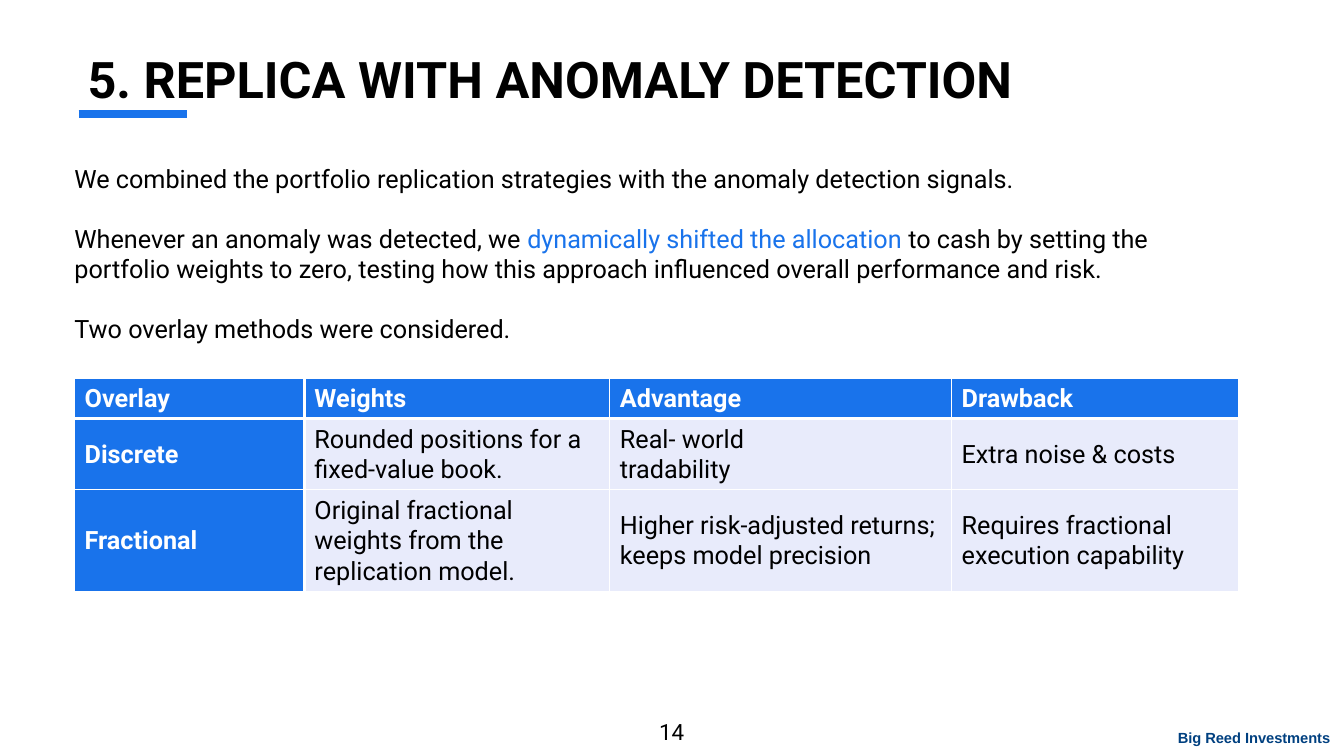
from dataclasses import dataclass

from lxml.etree import SubElement
from pptx import Presentation
from pptx.dml.color import RGBColor
from pptx.enum.shapes import MSO_CONNECTOR
from pptx.enum.text import MSO_ANCHOR, PP_ALIGN
from pptx.oxml.ns import qn
from pptx.util import Inches, Pt


@dataclass(frozen=True)
class Theme:
    accent: str = "1973EB"
    ink: str = "000000"
    paper: str = "FFFFFF"
    tint: str = "E8EBFB"
    footer_ink: str = "004080"
    face: str = "Roboto"
    footer_face: str = "Arial"
    title_size: float = 36
    body_size: float = 18
    page_size: float = 16
    footer_size: float = 10.5
    row_pitch: float = 21.8
    paragraph_gap: float = 21.2


THEME = Theme()
WIDTH, HEIGHT = 13.33, 7.5
GRID = 100

INTRO = [
    [("We combined the portfolio replication strategies with the anomaly detection signals.", THEME.ink)],
    [
        ("Whenever an anomaly was detected, we ", THEME.ink),
        ("dynamically shifted the allocation", THEME.accent),
        (" to cash by setting the portfolio weights to zero, testing how this approach "
         "influenced overall performance and risk.", THEME.ink),
    ],
    [("Two overlay methods were considered.", THEME.ink)],
]
OVERLAYS = [
    ["Overlay", "Weights", "Advantage", "Drawback"],
    ["Discrete", "Rounded positions for a fixed-value book.",
     "Real- world\ntradability", "Extra noise & costs"],
    ["Fractional", "Original fractional weights from the replication model.",
     "Higher risk-adjusted returns; keeps model precision",
     "Requires fractional execution capability"],
]
OVERLAY_COLUMNS = [17.1, 22.73, 25.43, 21.38]
OVERLAY_ROWS = [4.8, 8.67, 12.8]


def across(columns):
    return Inches(WIDTH * columns / GRID)


def down(rows):
    return Inches(HEIGHT * rows / GRID)


def area(left, top, columns, rows):
    return across(left), down(top), across(columns), down(rows)


def style(paragraph, size, color, bold=False, face=THEME.face):
    font = paragraph.font
    font.name, font.size, font.bold = face, Pt(size), bold
    font.color.rgb = RGBColor.from_string(color)


def add_text_frame(slide, place):
    frame = slide.shapes.add_textbox(*area(*place)).text_frame
    frame.word_wrap = True
    return frame


def add_label(slide, place, words, size, color, bold=False, face=THEME.face, align=PP_ALIGN.LEFT):
    label = add_text_frame(slide, place).paragraphs[0]
    label.text = words
    label.alignment = align
    style(label, size, color, bold, face)


def add_intro(slide, place):
    frame = add_text_frame(slide, place)
    for index, phrases in enumerate(INTRO):
        paragraph = frame.add_paragraph() if index else frame.paragraphs[0]
        if index:
            paragraph.space_before = Pt(THEME.paragraph_gap)
        style(paragraph, THEME.body_size, THEME.ink)
        for words, color in phrases:
            phrase = paragraph.add_run()
            phrase.text = words
            if color != THEME.ink:
                phrase.font.color.rgb = RGBColor.from_string(color)


def add_underline(slide, start, end, row):
    underline = slide.shapes.add_connector(
        MSO_CONNECTOR.STRAIGHT, across(start), down(row), across(end), down(row))
    underline.line.color.rgb = RGBColor.from_string(THEME.accent)
    underline.line.width = Pt(6)
    SubElement(underline._element.spPr, qn("a:effectLst"))


def set_borders(cell, widths):
    properties = cell._tc.get_or_add_tcPr()
    for side, width in widths.items():
        border = SubElement(properties, qn(f"a:ln{side}"), w=str(Pt(width)))
        fill = SubElement(border, qn("a:solidFill"))
        SubElement(fill, qn("a:srgbClr"), val=THEME.paper)


def fill_cell(cell, words, is_header, is_name):
    emphasized = is_header or is_name
    set_borders(cell, {"L": 1, "R": 3 if is_name else 1, "T": 1, "B": 3 if is_header else 1})
    cell.fill.solid()
    cell.fill.fore_color.rgb = RGBColor.from_string(THEME.accent if emphasized else THEME.tint)
    cell.vertical_anchor = MSO_ANCHOR.MIDDLE
    cell.text_frame.text = words
    for paragraph in cell.text_frame.paragraphs:
        paragraph.line_spacing = Pt(THEME.row_pitch)
        style(paragraph, THEME.body_size, THEME.paper if emphasized else THEME.ink, emphasized)


def add_overlay_table(slide, left, top):
    place = area(left, top, sum(OVERLAY_COLUMNS), sum(OVERLAY_ROWS))
    table = slide.shapes.add_table(len(OVERLAY_ROWS), len(OVERLAY_COLUMNS), *place).table
    for column, share in zip(table.columns, OVERLAY_COLUMNS):
        column.width = across(share)
    for row, share in zip(table.rows, OVERLAY_ROWS):
        row.height = down(share)
    for r, entries in enumerate(OVERLAYS):
        for c, words in enumerate(entries):
            fill_cell(table.cell(r, c), words, r == 0, c == 0)


def main():
    deck = Presentation()
    deck.slide_width, deck.slide_height = Inches(WIDTH), Inches(HEIGHT)
    slide = deck.slides.add_slide(deck.slide_layouts[6])
    add_underline(slide, 5.85, 13.88, 15.07)
    add_intro(slide, (4.8, 20.93, 87.47, 25.6))
    add_overlay_table(slide, 5.55, 50)
    add_label(slide, (5.78, 5.73, 89.35, 16), "5. REPLICA WITH ANOMALY DETECTION",
              THEME.title_size, THEME.ink, bold=True)
    add_label(slide, (48.31, 94.27, 3.38, 4.93), "14", THEME.page_size, THEME.ink)
    add_label(slide, (86.27, 95.73, 14.1, 3.73), "Big Reed Investments", THEME.footer_size,
              THEME.footer_ink, bold=True, face=THEME.footer_face, align=PP_ALIGN.CENTER)
    deck.save("out.pptx")


if __name__ == "__main__":
    main()
